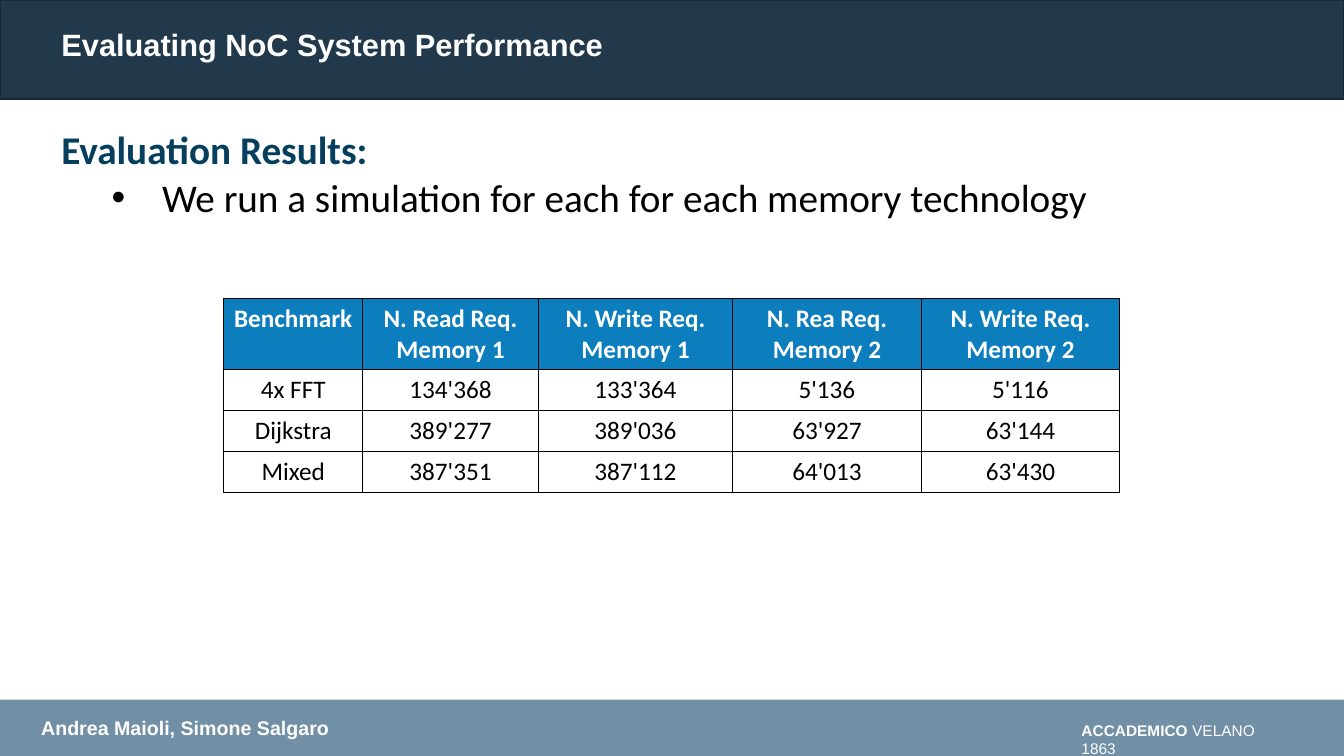
from pptx import Presentation
from pptx.dml.color import RGBColor
from pptx.enum import shapes, text
from pptx.oxml import parse_xml
from pptx.oxml.ns import nsdecls
from pptx.util import Pt

WIDE, HIGH = 960, 540
WHITE, BLACK = "FFFFFF", "000000"
COLS = [99.4, 125.3, 139, 134.6, 141.8]
HEAD = ["Benchmark", "N. Read Req. Memory 1", "N. Write Req. Memory 1",
        "N. Rea Req. Memory 2", "N. Write Req. Memory 2"]
DATA = [
    ["4x FFT", "134'368", "133'364", "5'136", "5'116"],
    ["Dijkstra", "389'277", "389'036", "63'927", "63'144"],
    ["Mixed", "387'351", "387'112", "64'013", "63'430"],
]


def color(code):
    return RGBColor.from_string(code)


def write(para, words, size=18, font="Calibri", fill=BLACK, bold=False, align=None):
    run = para.add_run()
    run.text = words
    run.font.size = Pt(size)
    run.font.name = font
    run.font.bold = bold
    run.font.color.rgb = color(fill)
    para.alignment = align
    return para


def place(shape, left, top, width, height):
    shape.left, shape.top = Pt(left), Pt(top)
    shape.width, shape.height = Pt(width), Pt(height)


def frame(slide, left, top, width, height):
    box = slide.shapes.add_textbox(Pt(left), Pt(top), Pt(width), Pt(height))
    box.text_frame.word_wrap = True
    return box.text_frame


def band(slide, top, height, fill, line=None):
    bar = slide.shapes.add_shape(shapes.MSO_SHAPE.RECTANGLE, 0, Pt(top), Pt(WIDE), Pt(height))
    bar.shadow.inherit = False
    bar.fill.solid()
    bar.fill.fore_color.rgb = color(fill)
    if line:
        bar.line.color.rgb = color(line)
        bar.line.width = Pt(1)
    else:
        bar.line.fill.background()


def header(slide, top, height):
    band(slide, top, height, "22384B", "192937")
    title = slide.shapes.title
    place(title, 36.7, top + 18, 443, 26)
    # Bring the title in front of its band
    slide.shapes.element.append(title.element)
    body = title.text_frame
    body.word_wrap = True
    body.auto_size = text.MSO_AUTO_SIZE.NONE
    body.vertical_anchor = text.MSO_ANCHOR.TOP
    para = write(body.paragraphs[0], "Evaluating NoC System Performance", size=22,
                 font="Arial", fill=WHITE, bold=True, align=text.PP_ALIGN.LEFT)
    para.line_spacing = 0.9


def footer(slide, top, height):
    band(slide, top, height, "718FA5")
    names = frame(slide, 22.3, top + 8, 222, 24.5)
    write(names.paragraphs[0], "Andrea Maioli, Simone Salgaro", size=14,
          font="Arial", fill=WHITE, bold=True)
    # School name, invented
    school = frame(slide, 765.4, top + 11.5, 157.7, 21).paragraphs[0]
    write(school, "ACCADEMICO", size=11, font="Arial", fill=WHITE, bold=True)
    write(school, " VELANO 1863", size=11, font="Arial", fill=WHITE)


def points(slide, left, top, width, height):
    body = frame(slide, left, top, width, height)
    write(body.paragraphs[0], "Evaluation Results:", size=28, fill="063E5D", bold=True)
    item = write(body.add_paragraph(),
                 "We run a simulation for each for each memory technology", size=28)
    item.space_before = Pt(1.3)
    # Bullet with a hanging indent
    props = item._p.get_or_add_pPr()
    props.set("marL", str(Pt(72)))
    props.set("indent", str(Pt(-36)))
    props.append(parse_xml(f'<a:buFont {nsdecls("a")} typeface="Arial"/>'))
    props.append(parse_xml(f'<a:buChar {nsdecls("a")} char="•"/>'))


def border(cell):
    props = cell._tc.get_or_add_tcPr()
    for spot, side in enumerate(("lnL", "lnR", "lnT", "lnB")):
        props.insert(spot, parse_xml(
            f'<a:{side} {nsdecls("a")} w="{Pt(1)}"><a:solidFill>'
            f'<a:srgbClr val="{BLACK}"/></a:solidFill></a:{side}>'))


def results(slide, left, top, tall=51, low=29.2):
    rows = [HEAD] + DATA
    grid = slide.shapes.add_table(len(rows), len(COLS), Pt(left), Pt(top), Pt(sum(COLS)),
                                  Pt(tall + low * len(DATA))).table
    for col, width in zip(grid.columns, COLS):
        col.width = Pt(width)
    for r, row in enumerate(rows):
        first = r == 0
        grid.rows[r].height = Pt(tall if first else low)
        for c, words in enumerate(row):
            cell = grid.cell(r, c)
            cell.fill.solid()
            cell.fill.fore_color.rgb = color("0C7EBE" if first else WHITE)
            border(cell)
            write(cell.text_frame.paragraphs[0], words, fill=WHITE if first else BLACK,
                  bold=first, align=text.PP_ALIGN.CENTER)


def main():
    deck = Presentation()
    deck.slide_width, deck.slide_height = Pt(WIDE), Pt(HIGH)
    slide = deck.slides.add_slide(deck.slide_layouts[5])
    footer(slide, 499.7, 40.3)
    header(slide, 0, 70.6)
    points(slide, 36.7, 85.7, 903, 163.4)
    results(slide, 159.8, 213.1)
    deck.save("out.pptx")


if __name__ == "__main__":
    main()
